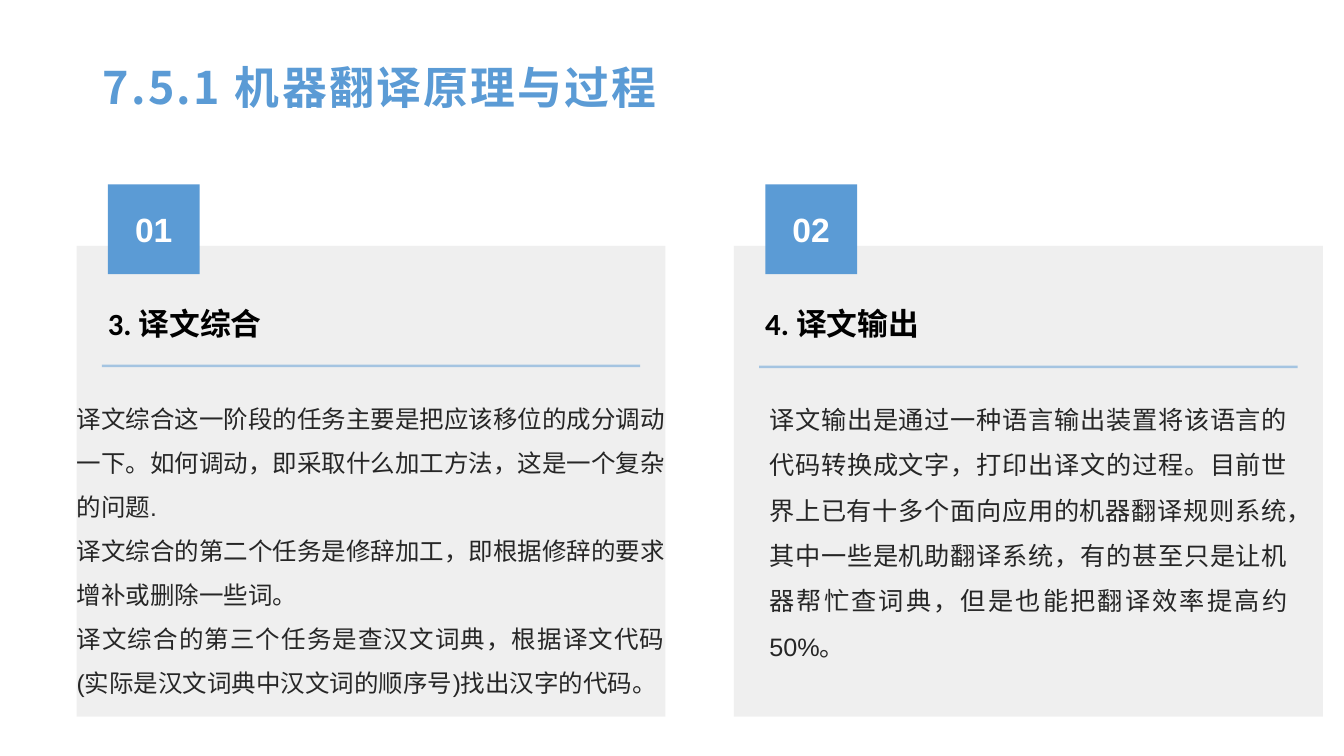
from lxml import etree
from pptx import Presentation
from pptx import util as u
from pptx.dml.color import RGBColor
from pptx.enum import shapes, text
from pptx.oxml.ns import qn

PX = 9144  # 100 px to the inch
BLUE, GREY, DARK = "5B9BD5", "999999", "262626"


def paint(fill, color, alpha=100):
    fill.solid()
    fill.fore_color.rgb = RGBColor.from_string(color)
    if alpha < 100:
        tint = fill._xPr.find(qn("a:solidFill"))[0]
        etree.SubElement(tint, qn("a:alpha")).set("val", str(alpha * 1000))


def write(shape, lines, size, font, color, bold=False, align=None, space=None,
          anchor=text.MSO_ANCHOR.MIDDLE, wrap=True):
    frame = shape.text_frame
    frame.text = "\n".join(lines)
    frame.word_wrap = wrap
    frame.auto_size = text.MSO_AUTO_SIZE.NONE
    frame.vertical_anchor = anchor
    if not shape.is_placeholder:
        frame.margin_left = frame.margin_right = 0
        frame.margin_top = frame.margin_bottom = 0
    for para in frame.paragraphs:
        para.alignment = align
        para.line_spacing = space
        for run in para.runs:
            run.font.size = u.Pt(size)
            run.font.name = font
            run.font.bold = bold
            paint(run.font.fill, color)


deck = Presentation()
deck.slide_width, deck.slide_height = 1333 * PX, 750 * PX
slide = deck.slides.add_slide(deck.slide_layouts[5])
items = slide.shapes

title = items.title
title.left, title.top, title.width, title.height = [n * PX for n in (92, 40, 690, 98)]
write(title, ["7.5.1 机器翻译原理与过程"], 32, "Noto Sans CJK SC", BLUE, True,
      text.PP_ALIGN.LEFT, 0.9)
for run in title.text_frame.paragraphs[0].runs:
    props = run.font._element
    props.set("spc", "160")
    etree.SubElement(props, qn("a:ea")).set("typeface", "Noto Sans CJK SC")

# left edge, number, heading, rule height, body offset, width, height, size, body
cards = [
    (76, "01", "3. 译文综合", 363, 0, 584, 325, 17.5, [
        "译文综合这一阶段的任务主要是把应该移位的成分调动一下。如何调动，即采取什么加工方法，这是一个复杂的问题.",
        "译文综合的第二个任务是修辞加工，即根据修辞的要求增补或删除一些词。",
        "译文综合的第三个任务是查汉文词典，根据译文代码(实际是汉文词典中汉文词的顺序号)找出汉字的代码。"]),
    (728, "02", "4. 译文输出", 364, 35, 514, 250, 18, [
        "译文输出是通过一种语言输出装置将该语言的代码转换成文字，打印出译文的过程。"
        "目前世界上已有十多个面向应用的机器翻译规则系统，其中一些是机助翻译系统，"
        "有的甚至只是让机器帮忙查词典，但是也能把翻译效率提高约50%。"]),
]

for left, number, heading, level, shift, width, height, size, lines in cards:
    panel = items.add_shape(shapes.MSO_SHAPE.ROUNDED_RECTANGLE,
                            left * PX, 244 * PX, 584 * PX, 467 * PX)
    paint(panel.fill, GREY, 15)

    body = items.add_textbox((left + shift) * PX, 386 * PX, width * PX, height * PX)
    write(body, lines, size, "Arial", DARK, align=text.PP_ALIGN.JUSTIFY,
          space=1.5, anchor=text.MSO_ANCHOR.TOP)

    badge = items.add_shape(shapes.MSO_SHAPE.ROUNDED_RECTANGLE,
                            (left + 31) * PX, 183 * PX, 91 * PX, 89 * PX)
    paint(badge.fill, BLUE)
    write(badge, [number], 24, "Arial", "FFFFFF", True, text.PP_ALIGN.CENTER, wrap=False)

    for box in (panel, badge):
        box.adjustments[0] = 0
        box.line.fill.background()
        box.shadow.inherit = False

    rule = items.add_connector(shapes.MSO_CONNECTOR.STRAIGHT, (left + 25) * PX,
                               level * PX, (left + 559) * PX, level * PX)
    rule.line.width = u.Pt(1.75)
    paint(rule.line.fill, BLUE, 50)
    etree.SubElement(rule._element.spPr, qn("a:effectLst"))

    head = items.add_textbox((left + 31) * PX, 295 * PX, 514 * PX, 51 * PX)
    write(head, [heading], 22, "Calibri", "000000", True)

deck.save("out.pptx")
